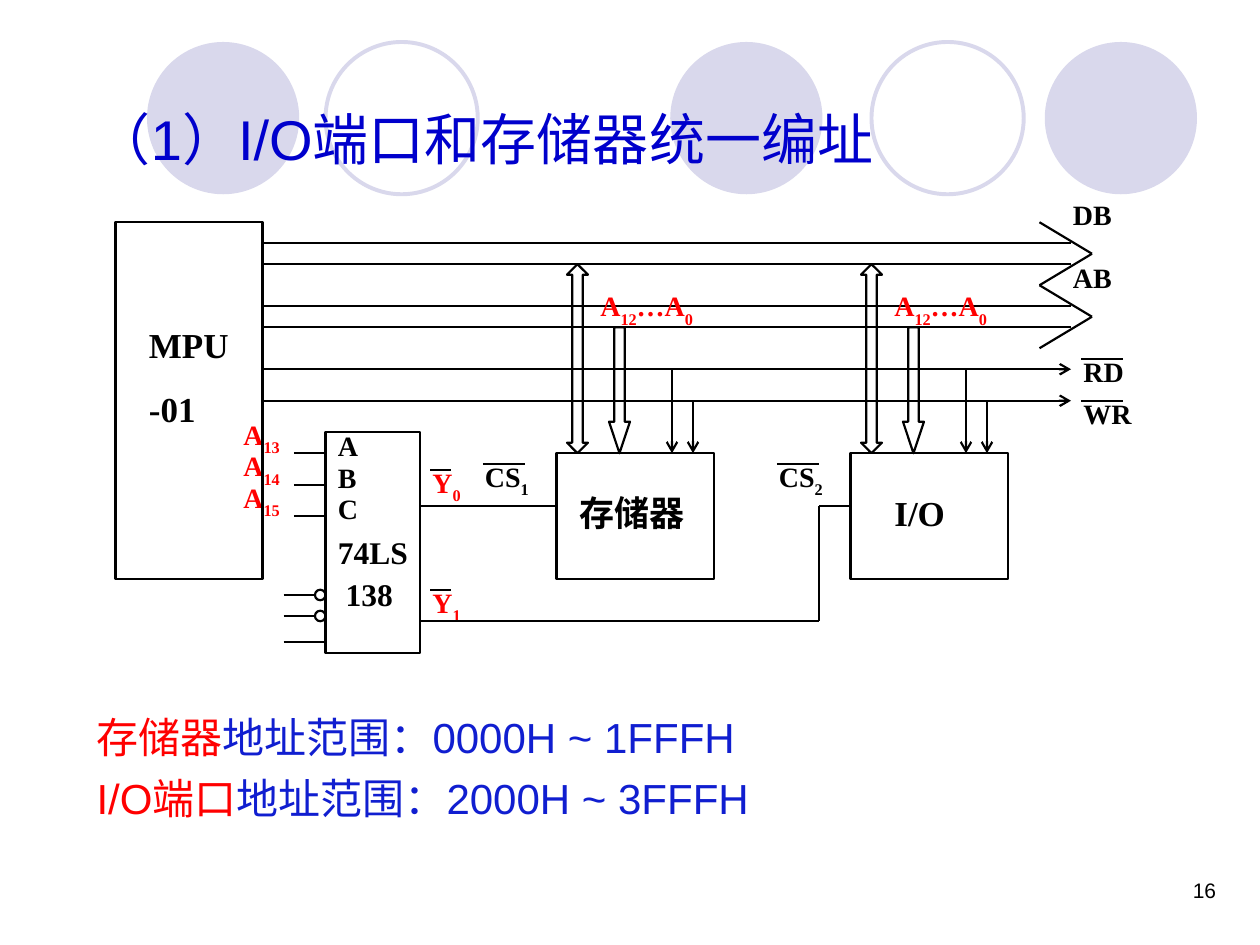
from lxml import etree
from pptx import Presentation
from pptx import util as u
from pptx.dml.color import RGBColor as Rgb
from pptx.enum import shapes, text
from pptx.oxml import ns

Pt = u.Pt
Kind = shapes.MSO_SHAPE


class Theme:
    sans, serif, block = "Arial", "Times New Roman", "Roboto"
    black, red = Rgb(0, 0, 0), Rgb(255, 0, 0)
    head, blue = Rgb(0, 0, 0xCC), Rgb(0x10, 0x1E, 0xD0)
    pale = Rgb(0xD9, 0xD8, 0xEC)
    title, body, name, chip, tag, page = 32, 24, 20, 18, 16, 12
    line, ring = 1.25, 2.25


deck = Presentation()
deck.slide_width, deck.slide_height = Pt(720), Pt(540)
slide = deck.slides.add_slide(deck.slide_layouts[1])
tree = slide.shapes


def wire(x1, y1, x2, y2, arrow=False):
    link = tree.add_connector(shapes.MSO_CONNECTOR.STRAIGHT, Pt(x1), Pt(y1), Pt(x2), Pt(y2))
    link.line.color.rgb = Theme.black
    link.line.width = Pt(Theme.line)
    props = link.element.spPr
    if arrow:
        etree.SubElement(props.find(ns.qn("a:ln")), ns.qn("a:tailEnd"), type="arrow")
    etree.SubElement(props, ns.qn("a:effectLst"))


def label(words, x, y, w, h=26, size=Theme.tag, color=Theme.black, face=Theme.serif, bold=True):
    """Add a text box; parts between underscores are subscripts, lines are paragraphs."""
    box = tree.add_textbox(Pt(x), Pt(y), Pt(w), Pt(h))
    frame = box.text_frame
    frame.word_wrap = True
    for row, line in enumerate(words.split("\n")):
        para = frame.add_paragraph() if row else frame.paragraphs[0]
        para.space_before = Pt(12.5 if row else 0)
        font = para.font
        font.name, font.size, font.bold = face, Pt(size), bold
        font.color.rgb = color
        for turn, part in enumerate(line.split("_")):
            if part:
                run = para.add_run()
                run.text = part
                if turn % 2:
                    run._r.get_or_add_rPr().set("baseline", "-30000")
    return box


# Circles behind the title
for x, solid in ((84, True), (186, False), (383, True), (498, False), (597, True)):
    disc = tree.add_shape(Kind.OVAL, Pt(x), Pt(24), Pt(87), Pt(87))
    disc.shadow.inherit = False
    if solid:
        disc.fill.solid()
        disc.fill.fore_color.rgb = Theme.pale
        disc.line.fill.background()
    else:
        disc.fill.background()
        disc.line.color.rgb = Theme.pale
        disc.line.width = Pt(Theme.ring)

# Title and address ranges
title, body = tree.title, slide.placeholders[1]
for holder, place in ((body, (48, 403, 612, 78)), (title, (47, 54, 612, 48))):
    holder.left, holder.top, holder.width, holder.height = map(Pt, place)
    holder.text_frame.auto_size = text.MSO_AUTO_SIZE.NONE
    tree.element.append(holder.element)
title.text_frame.text = "（1）I/O端口和存储器统一编址"
title.text_frame.vertical_anchor = text.MSO_ANCHOR.BOTTOM
para = title.text_frame.paragraphs[0]
para.alignment = text.PP_ALIGN.LEFT
para.font.name, para.font.size = Theme.sans, Pt(Theme.title)
para.font.color.rgb = Theme.head

ranges = (("存储器", "地址范围：0000H ~ 1FFFH"), ("I/O端口", "地址范围：2000H ~ 3FFFH"))
for row, parts in enumerate(ranges):
    para = body.text_frame.add_paragraph() if row else body.text_frame.paragraphs[0]
    para.space_before = Pt(6 if row else 0)
    props = para._p.get_or_add_pPr()
    props.set("marL", "0")
    props.set("indent", "0")
    etree.SubElement(props, ns.qn("a:buNone"))
    para.font.name, para.font.size = Theme.sans, Pt(Theme.body)
    for part, color in zip(parts, (Theme.red, Theme.blue)):
        run = para.add_run()
        run.text = part
        run.font.color.rgb = color

# Outlines: processor and decoder first, then the parts of each device
forms = [(Kind.RECTANGLE, 66, 127, 84, 204, ()), (Kind.RECTANGLE, 186, 247, 54, 126, ())]
label("MPU\n-01", 78, 181.5, 66, 68, Theme.name)

# Buses and control lines
for y in (139, 151, 175, 187):
    wire(150, y, 612, y)
for name, y in (("DB", 127), ("AB", 163)):
    wire(594, y, 624, y + 18)
    wire(594, y + 36, 624, y + 18)
    label(name, 606, y - 17.5, 48)
for name, y, top in (("RD", 211, 199), ("WR", 229, 223)):
    wire(150, y, 612, y, arrow=True)
    label(name, 612, top, 60)
    wire(618, top + 6, 642, top + 6)

# Memory and I/O; the double arrow takes its head length before its shaft width
for x, pin in ((318, "CS_1_"), (486, "CS_2_")):
    forms += [
        (Kind.RECTANGLE, x, 259, 90, 72, ()),
        (Kind.UP_DOWN_ARROW, x + 6, 151, 12, 108, (1.79, 0.5)),
        (Kind.DOWN_ARROW, x + 30, 187, 12, 72, (0.5, 1.5)),
    ]
    wire(x + 66, 211, x + 66, 259, arrow=True)
    wire(x + 78, 229, x + 78, 259, arrow=True)
    label("A_12_…A_0_", x + 18, 161.5, 72, color=Theme.red)
    label(pin, x - 48, 259, 48)
    wire(x - 42, 265, x - 18, 265)
label("存储器", 324, 277.5, 84, 32, Theme.name, face=Theme.block)
label("I/O", 504, 277.5, 60, 32, Theme.name)

# Decoder inputs, enables and outputs
label("74LS", 186, 301, 60, 29, Theme.chip)
label("138", 190.5, 325, 55, 29, Theme.chip)
for step, name in enumerate("ABC"):
    y = 259 + 18 * step
    wire(168, y, 186, y)
    label(name, 186, y - 17.5, 24)
    label(f"A_{13 + step}_", 132, y - 24, 48, color=Theme.red)
for y in (340, 352):
    wire(162, y, 180, y)
    forms.append((Kind.OVAL, 180, y - 3, 6, 6, ()))
wire(162, 367, 186, 367)
for name, y in (("Y_0_", 262.5), ("Y_1_", 331)):
    label(name, 240, y, 42, color=Theme.red)
    wire(246, y + 6, 258, y + 6)
for ends in ((240, 289, 318, 289), (468, 289, 486, 289), (240, 355, 468, 355), (468, 289, 468, 355)):
    wire(*ends)

for kind, x, y, w, h, bends in forms:
    form = tree.add_shape(kind, Pt(x), Pt(y), Pt(w), Pt(h))
    form.shadow.inherit = False
    form.fill.background()
    form.line.color.rgb = Theme.black
    form.line.width = Pt(Theme.line)
    for spot, bend in enumerate(bends):
        form.adjustments[spot] = bend

page = label("16", 534, 498, 168, 36, Theme.page, face=Theme.sans, bold=False)
page.text_frame.paragraphs[0].alignment = text.PP_ALIGN.RIGHT

deck.save("out.pptx")
